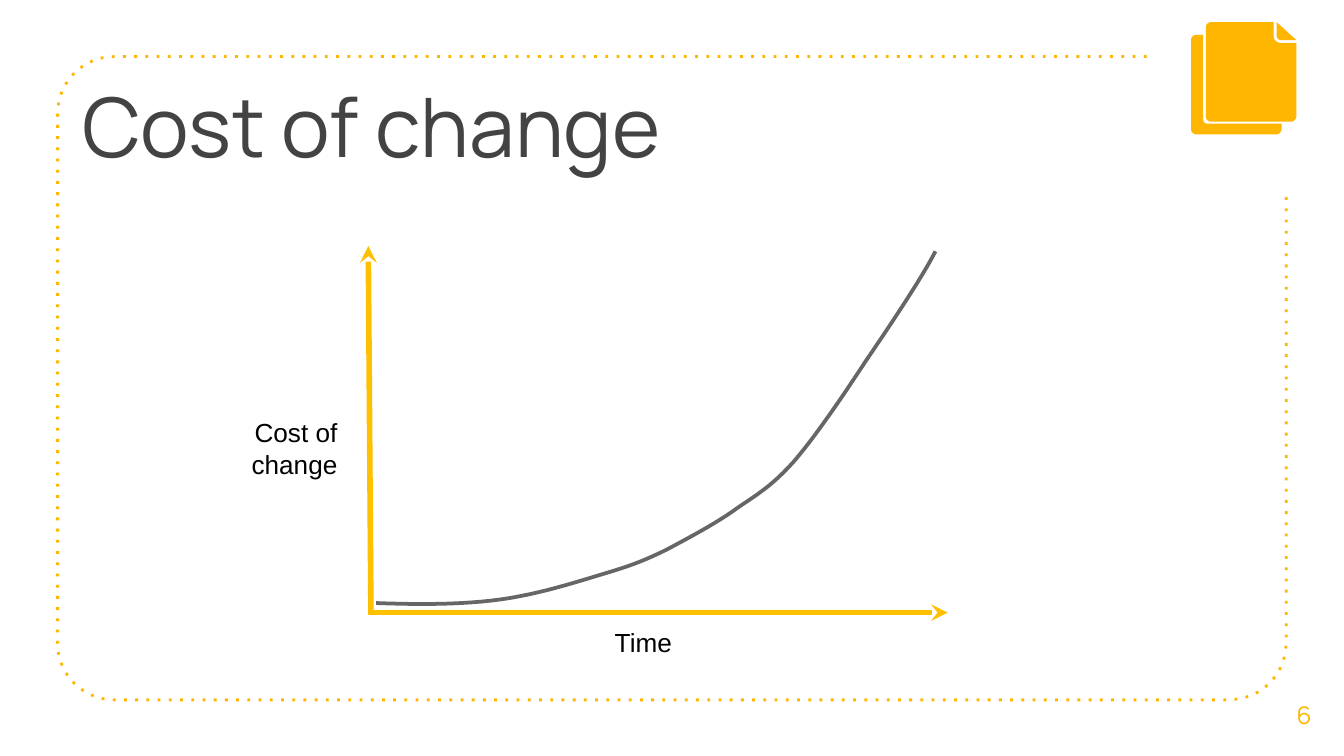
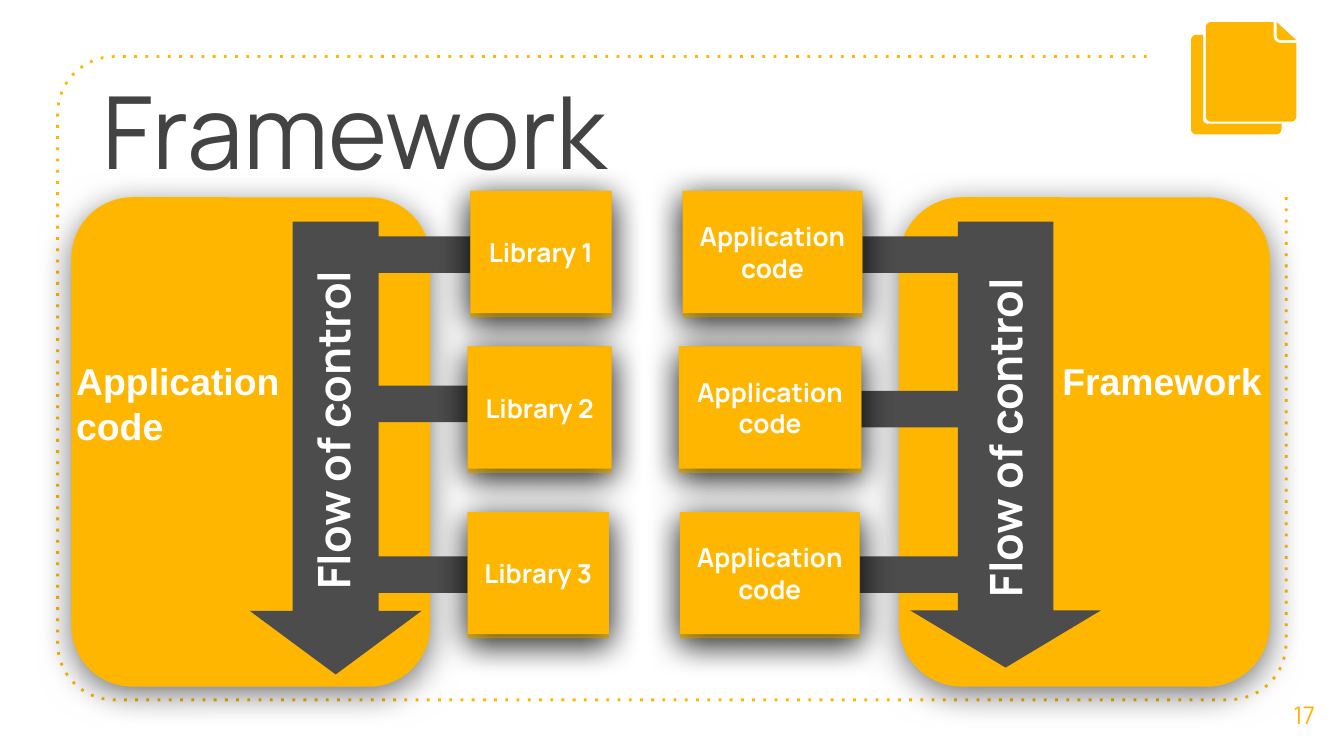
from math import cos, hypot, pi, sin

from pptx import Presentation
from pptx.dml.color import RGBColor
from pptx.enum.dml import MSO_LINE
from pptx.enum.shapes import MSO_CONNECTOR, MSO_SHAPE
from pptx.enum.text import MSO_ANCHOR, MSO_AUTO_SIZE, PP_ALIGN
from pptx.oxml import parse_xml
from pptx.oxml.ns import nsdecls, qn
from pptx.util import Cm, Pt

AMBER = RGBColor(0xFF, 0xB6, 0x00)
AXIS_GOLD = RGBColor(0xFF, 0xC0, 0x00)
EDGE_GOLD = RGBColor(0xF1, 0xC2, 0x32)
TITLE_GREY = RGBColor(0x43, 0x43, 0x43)
ARROW_GREY = RGBColor(0x4C, 0x4C, 0x4C)
CURVE_GREY = RGBColor(0x66, 0x66, 0x66)
BLACK = RGBColor(0, 0, 0)
WHITE = RGBColor(255, 255, 255)
BRAND_FONT, PLAIN_FONT = "Manrope", "Arial"

# All positions are in centimetres. Outline corners are (x, y, radius).
FRAME = [(21.67, 1.07, 0), (1.09, 1.07, 1.07), (1.09, 13.23, 1.07),
         (24.31, 13.23, 1.07), (24.31, 3.71, 0)]
PAGES_ICON = [
    [(22.74, 0.66, 0), (22.51, 0.66, 0.1), (22.51, 2.54, 0.1),
     (24.22, 2.54, 0.1), (24.22, 2.34, 0), (22.74, 2.34, 0.08)],
    [(24.07, 0.42, 0), (22.79, 0.42, 0.1), (22.79, 2.3, 0.1),
     (24.5, 2.3, 0.1), (24.5, 0.81, 0), (24.07, 0.81, 0.13)],
    [(24.13, 0.42, 0), (24.13, 0.76, 0.08), (24.5, 0.76, 0)],
]

# Bezier knots, with two control points between neighbouring knots.
COST_CURVE = [
    (7.11, 11.4), (7.95, 11.43), (8.76, 11.43),
    (9.47, 11.33), (10.19, 11.23), (10.9, 11),
    (11.4, 10.85), (11.94, 10.69), (12.19, 10.59),
    (12.6, 10.39), (13.03, 10.16), (13.56, 9.88),
    (13.94, 9.6), (14.35, 9.32), (14.58, 9.19),
    (14.99, 8.74), (15.39, 8.28), (15.93, 7.49),
    (16.36, 6.83), (16.81, 6.17), (17.42, 5.26), (17.68, 4.75),
]
AXES = [((6.96, 11.58), (17.91, 11.58)), ((7.01, 11.58), (6.96, 4.65))]
AXIS_LABELS = [
    ("Cost of change", (3.23, 7.75, 3.4, 1.45), PP_ALIGN.RIGHT),
    ("Time", (10.46, 11.71, 3.4, 0.86), PP_ALIGN.CENTER),
]

BOX_TOPS = (3.61, 6.55, 9.68)
BOX_H, EDGE_H = 2.31, 2.39
STUB_W, STUB_H = 3, 0.69
SIDES = [
    {"panel": (1.35, 3.73, 6.78, 9.25),
     "stubs": [(6.38, 4.47), (6.2, 7.29), (6.38, 10.52)],
     "boxes": [("Library 1", 8.89, 2.67), ("Library 2", 8.84, 2.72),
               ("Library 3", 8.84, 2.67)],
     "label": ("Application code", (1.19, 6.65, 5, 1.96), PP_ALIGN.LEFT),
     "arrow": (4.72, 4.19, 3.25, 8.56), "head": 0.37,
     "flow": (2.21, 7.37, 8.15, 1.52)},
    {"panel": (16.99, 3.73, 7.01, 9.25),
     "stubs": [(15.6, 4.47), (15.6, 7.39), (15.62, 10.52)],
     "boxes": [("Application\ncode", 12.9, 3.4), ("Application\ncode", 12.83, 3.45),
               ("Application\ncode", 12.85, 3.4)],
     "label": ("Framework", (19.1, 6.65, 5, 1.12), PP_ALIGN.RIGHT),
     "arrow": (17.2, 4.19, 3.61, 8.43), "head": 0.3,
     "flow": (15.06, 7.37, 7.85, 1.8)},
]


def cm(values):
    return [Cm(v) for v in values]


def write(shape, text, size, color, font=BRAND_FONT, align=PP_ALIGN.CENTER,
          bold=False, anchor=MSO_ANCHOR.MIDDLE, pad=0.25):
    tf = shape.text_frame
    tf.word_wrap = True
    tf.auto_size = MSO_AUTO_SIZE.NONE
    tf.vertical_anchor = anchor
    tf.margin_left = tf.margin_right = Cm(0.25)
    tf.margin_top = tf.margin_bottom = Cm(pad)
    tf.text = text
    for p in tf.paragraphs:
        p.alignment = align
        p.font.name, p.font.size, p.font.bold = font, Pt(size), bold
        p.font.color.rgb = color


def add_text(slide, at, text, size, color, **style):
    box = slide.shapes.add_textbox(*cm(at))
    write(box, text, size, color, **style)
    return box


def paint(shape, color, shadow=False):
    shape.fill.solid()
    shape.fill.fore_color.rgb = color
    shape.line.fill.background()
    shape.shadow.inherit = False
    if shadow:
        effects = shape.element.spPr.find(qn("a:effectLst"))
        effects.append(parse_xml(
            f'<a:outerShdw {nsdecls("a")} blurRad="{Pt(18)}" dist="{Pt(4)}" '
            'dir="5400000" algn="bl" rotWithShape="0"><a:srgbClr val="000000">'
            '<a:alpha val="54000"/></a:srgbClr></a:outerShdw>'))


def add_solid(shapes, kind, at, color, shadow=False):
    sp = shapes.add_shape(kind, *cm(at))
    paint(sp, color, shadow)
    return sp


def add_outline(shapes, points, close=False):
    start, *rest = [cm(point) for point in points]
    builder = shapes.build_freeform(*start)
    builder.add_line_segments(rest, close=close)
    return builder.convert_to_shape()


def stroke(shape, color, width):
    shape.fill.background()
    shape.shadow.inherit = False
    shape.line.color.rgb = color
    shape.line.width = Pt(width)


def rounded(corners, steps=8):
    """Points along an outline whose right-angled corners become arcs."""
    points = []
    for i, (x, y, radius) in enumerate(corners):
        if not radius:
            points.append((x, y))
            continue
        units = []
        for nx, ny, _ in (corners[i - 1], corners[(i + 1) % len(corners)]):
            length = hypot(nx - x, ny - y)
            units.append(((nx - x) / length, (ny - y) / length))
        (ax, ay), (bx, by) = units
        for k in range(steps + 1):
            a = 1 - sin(k / steps * pi / 2)
            b = 1 - cos(k / steps * pi / 2)
            points.append((x + radius * (a * ax + b * bx),
                           y + radius * (a * ay + b * by)))
    return points


def bezier(knots, steps=12):
    points = [knots[0]]
    for i in range(0, len(knots) - 1, 3):
        for k in range(1, steps + 1):
            t = k / steps
            weights = ((1 - t) ** 3, 3 * t * (1 - t) ** 2, 3 * t * t * (1 - t), t ** 3)
            points.append(tuple(sum(w * knot[axis] for w, knot in zip(weights, knots[i:i + 4]))
                                for axis in (0, 1)))
    return points


def add_layout_frame(layout, slide):
    """Draw the dotted frame on the slide, then move it to the shared layout."""
    frame = add_outline(slide.shapes, rounded(FRAME))
    stroke(frame, AMBER, 1.5)
    frame.line.dash_style = MSO_LINE.ROUND_DOT
    frame.element.spPr.find(qn("a:ln")).find(qn("a:prstDash")).set("val", "dot")
    layout.shapes.element.insert(2, frame.element)


def add_slide(prs, layout, title, title_at, title_size, number):
    slide = prs.slides.add_slide(layout)
    heading = slide.shapes.title
    heading.left, heading.top, heading.width, heading.height = cm(title_at)
    write(heading, title, title_size, TITLE_GREY, align=PP_ALIGN.LEFT,
          anchor=MSO_ANCHOR.TOP)
    add_text(slide, (23.9, 12.75, 1.5, 1.52), number, 13, AMBER)
    icon = slide.shapes.add_group_shape()
    for corners in PAGES_ICON:
        paint(add_outline(icon.shapes, rounded(corners), close=True), AMBER)
    return slide


def add_axis(slide, start, end):
    axis = slide.shapes.add_connector(MSO_CONNECTOR.STRAIGHT, *cm(start + end))
    axis.line.color.rgb = AXIS_GOLD
    axis.line.width = Pt(3)
    spPr = axis.element.spPr
    spPr.find(qn("a:ln")).append(parse_xml(f'<a:tailEnd {nsdecls("a")} type="stealth"/>'))
    spPr.append(parse_xml(f'<a:effectLst {nsdecls("a")}/>'))


def draw_cost_graph(slide):
    stroke(add_outline(slide.shapes, bezier(COST_CURVE)), CURVE_GREY, 2)
    for text, at, align in AXIS_LABELS:
        add_text(slide, at, text, 14, BLACK, font=PLAIN_FONT, align=align,
                 anchor=MSO_ANCHOR.TOP, pad=0.13)
    for start, end in AXES:
        add_axis(slide, start, end)


def draw_side(slide, side):
    shapes = slide.shapes
    panel = add_solid(shapes, MSO_SHAPE.ROUNDED_RECTANGLE, side["panel"], AMBER, shadow=True)
    panel.adjustments[0] = 0.17
    for x, y in side["stubs"]:
        add_solid(shapes, MSO_SHAPE.RECTANGLE, (x, y, STUB_W, STUB_H), ARROW_GREY)
    for (text, x, width), top in zip(side["boxes"], BOX_TOPS):
        group = shapes.add_group_shape()
        for height, color in ((EDGE_H, EDGE_GOLD), (BOX_H, AMBER)):
            face = add_solid(group.shapes, MSO_SHAPE.RECTANGLE,
                             (x, top, width, height), color, shadow=True)
        write(face, text, 14, WHITE, bold=True)
    text, at, align = side["label"]
    add_text(slide, at, text, 20, WHITE, font=PLAIN_FONT, align=align, bold=True,
             anchor=MSO_ANCHOR.TOP, pad=0.13)
    arrow = add_solid(shapes, MSO_SHAPE.DOWN_ARROW, side["arrow"], ARROW_GREY)
    arrow.adjustments[1] = side["head"]
    flow = add_text(slide, side["flow"], "Flow of control", 24, WHITE, bold=True, pad=0.13)
    flow.rotation = 270


def main():
    prs = Presentation()
    prs.slide_width, prs.slide_height = Cm(25.4), Cm(14.29)
    layout = prs.slide_layouts[5]

    cost = add_slide(prs, layout, "Cost of change", (1.3, 1.17, 21, 2.39), 44, "6")
    add_layout_frame(layout, cost)
    draw_cost_graph(cost)

    framework = add_slide(prs, layout, "Framework", (1.68, 1.04, 20.85, 2.29), 54, "17")
    for side in SIDES:
        draw_side(framework, side)
    prs.save("out.pptx")


if __name__ == "__main__":
    main()
